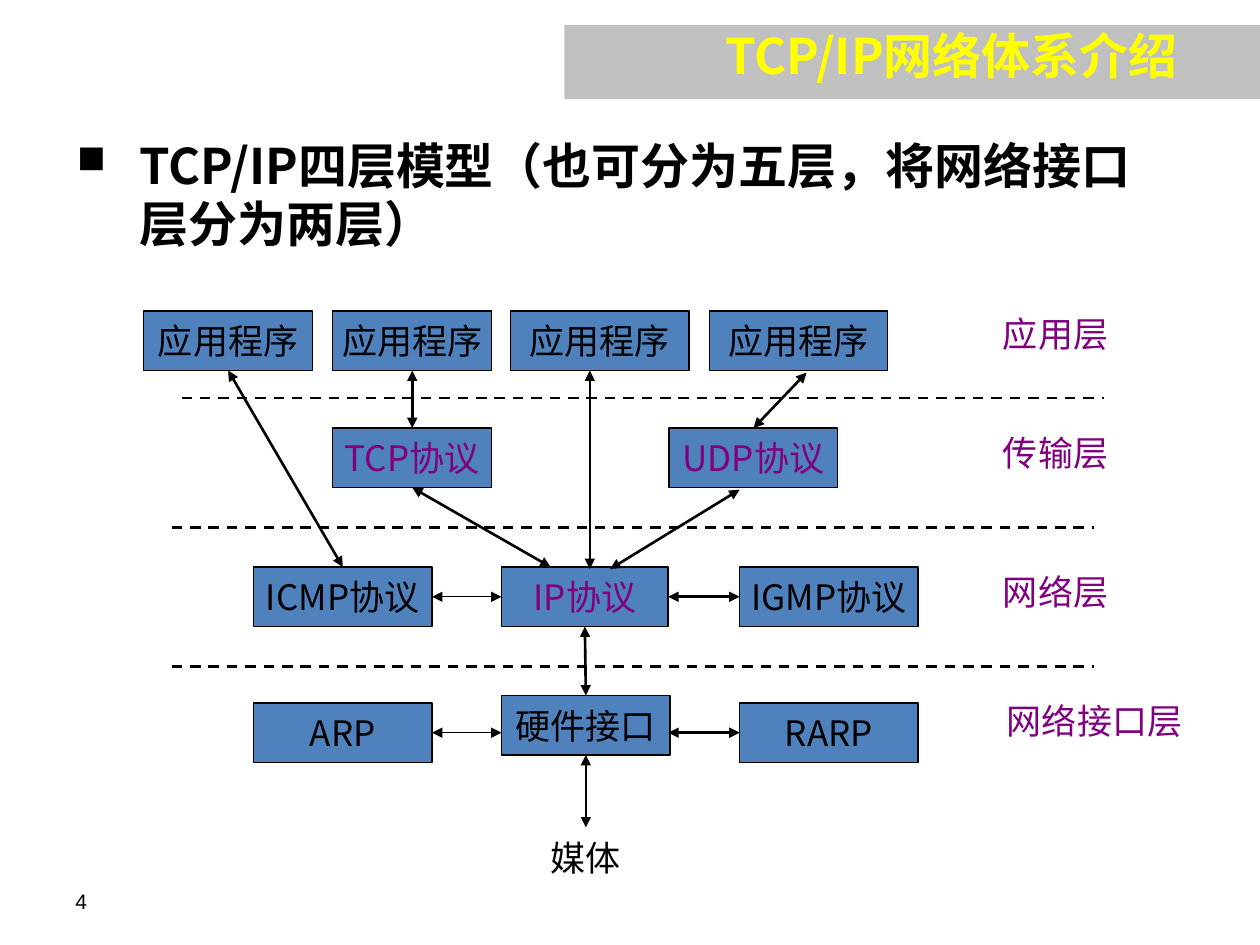
from pptx import Presentation
from pptx.dml.color import RGBColor
from pptx.enum.dml import MSO_LINE
from pptx.enum.shapes import MSO_CONNECTOR, MSO_SHAPE
from pptx.enum.text import MSO_ANCHOR, MSO_AUTO_SIZE, PP_ALIGN
from pptx.oxml.ns import qn
from pptx.util import Cm, Pt
from lxml.etree import SubElement

BLACK = RGBColor(0x00, 0x00, 0x00)
GREY = RGBColor(0xC0, 0xC0, 0xC0)
YELLOW = RGBColor(0xFF, 0xFF, 0x00)
BLUE = RGBColor(0x4F, 0x81, 0xBD)
PURPLE = RGBColor(0x80, 0x00, 0x80)
CJK_FONT = "Noto Sans CJK SC"
TOP, LEFT, BOTTOM, RIGHT = range(4)
NODE_HEIGHT = 1.2

# name: (text, left, top, width, text colour), in cm from the diagram's corner
NODES = {
    "app1": ("应用程序", 0, 0, 3.4, BLACK),
    "app2": ("应用程序", 3.81, 0, 3.2, BLACK),
    "app3": ("应用程序", 7.39, 0, 3.6, BLACK),
    "app4": ("应用程序", 11.4, 0, 3.6, BLACK),
    "tcp": ("TCP协议", 3.81, 2.36, 3.2, PURPLE),
    "udp": ("UDP协议", 10.59, 2.36, 3.4, PURPLE),
    "icmp": ("ICMP协议", 2.21, 5.16, 3.6, BLACK),
    "ip": ("IP协议", 7.21, 5.16, 3.36, PURPLE),
    "igmp": ("IGMP协议", 12.01, 5.16, 3.6, BLACK),
    "arp": ("ARP", 2.21, 7.9, 3.6, BLACK),
    "hardware": ("硬件接口", 7.21, 7.75, 3.4, BLACK),
    "rarp": ("RARP", 12.01, 7.9, 3.6, BLACK),
    "media": ("媒体", 7.21, 10.41, 3.4, BLACK),
}
# Each end is (node, side) or a free point (x, y)
ARROWS = [
    (("app1", BOTTOM), ("icmp", TOP), 1.5),
    (("app2", BOTTOM), ("tcp", TOP), 1.5),
    ((8.99, 1.2), (8.99, 5.2), 1.5),
    ((13.36, 1.24), ("udp", TOP), 1.5),
    (("tcp", BOTTOM), (8.2, 5.16), 1.5),
    ((9.4, 5.2), (12.01, 3.6), 1.5),
    (("icmp", RIGHT), ("ip", LEFT), 0.75),
    (("ip", RIGHT), ("igmp", LEFT), 1.5),
    (("ip", BOTTOM), ("hardware", TOP), 1.5),
    (("arp", RIGHT), (7.21, 8.5), 0.75),
    ((10.57, 8.5), ("rarp", LEFT), 1.5),
    (("hardware", BOTTOM), ("media", TOP), 1.5),
]
DIVIDERS = [(0.76, 1.75), (0.56, 4.37), (0.56, 7.16)]
DIVIDER_LENGTH = 18.6
LAYERS = [("应用层", 17.07, -0.1), ("传输层", 17.07, 2.31),
          ("网络层", 17.07, 5.11), ("网络接口层", 17.15, 7.7)]


def write(shape, text, size, color, bold=False, align=PP_ALIGN.LEFT,
          anchor=MSO_ANCHOR.TOP, wrap=True, font_name=CJK_FONT):
    frame = shape.text_frame
    frame.text = text
    frame.word_wrap = wrap
    frame.vertical_anchor = anchor
    paragraph = frame.paragraphs[0]
    paragraph.alignment = align
    run = paragraph.runs[0]
    run.font.size = Pt(size)
    run.font.bold = bold
    run.font.name = font_name
    run.font.color.rgb = color
    SubElement(run.font._element, qn("a:ea")).set("typeface", font_name)
    return paragraph


def add_line(slide, start, end, width):
    line = slide.shapes.add_connector(MSO_CONNECTOR.STRAIGHT, *start, *end)
    line.line.color.rgb = BLACK
    line.line.width = Pt(width)
    SubElement(line._element.spPr, qn("a:effectLst"))
    return line


def add_rectangle(slide, left, top, width, height):
    rectangle = slide.shapes.add_shape(MSO_SHAPE.RECTANGLE, left, top, width, height)
    rectangle.shadow.inherit = False
    return rectangle


def add_title(slide, left, top, width, height):
    band = add_rectangle(slide, left, top, width, height)
    band.fill.solid()
    band.fill.fore_color.rgb = GREY
    band.line.fill.background()
    title = slide.shapes.add_textbox(left + Cm(1.7), top - Cm(0.48), Cm(12.2), Cm(2.18))
    write(title, "TCP/IP网络体系介绍", 28, YELLOW, True, PP_ALIGN.CENTER, MSO_ANCHOR.MIDDLE)


def add_heading(slide, left, top, width, height):
    heading = slide.shapes.add_textbox(left, top, width, height)
    paragraph = write(heading, "TCP/IP四层模型（也可分为五层，将网络接口层分为两层）",
                      28, BLACK, True)
    properties = paragraph._p.get_or_add_pPr()
    properties.set("marL", str(Cm(1.27)))
    properties.set("indent", str(-Cm(1.27)))
    SubElement(properties, qn("a:buSzPct")).set("val", "80000")
    SubElement(properties, qn("a:buChar")).set("char", "■")


def add_diagram(slide, left, top):
    """Draw the protocol stack with its layer dividers, arrows and layer names."""
    def place(x, y):
        return left + Cm(x), top + Cm(y)

    boxes = {}
    for name, (text, x, y, width, color) in NODES.items():
        box = add_rectangle(slide, *place(x, y), Cm(width), Cm(NODE_HEIGHT))
        if name == "media":
            box.fill.background()
            box.line.fill.background()
        else:
            box.fill.solid()
            box.fill.fore_color.rgb = BLUE
            box.line.color.rgb = BLACK
            box.line.width = Pt(0.75)
        write(box, text, 20, color, align=PP_ALIGN.CENTER,
              anchor=MSO_ANCHOR.MIDDLE, wrap=False)
        boxes[name] = box

    for x, y in DIVIDERS:
        divider = add_line(slide, place(x, y), place(x + DIVIDER_LENGTH, y), 1.5)
        divider.line.dash_style = MSO_LINE.DASH

    for start, end, width in ARROWS:
        points = [place(0, 0) if point[0] in boxes else place(*point)
                  for point in (start, end)]
        arrow = add_line(slide, *points, width)
        if start[0] in boxes:
            arrow.begin_connect(boxes[start[0]], start[1])
        if end[0] in boxes:
            arrow.end_connect(boxes[end[0]], end[1])
        for tag in ("a:headEnd", "a:tailEnd"):
            SubElement(arrow.line._get_or_add_ln(), qn(tag)).set("type", "triangle")

    for text, x, y in LAYERS:
        label = slide.shapes.add_textbox(*place(x, y), Cm(0.5 + 0.71 * len(text)), Cm(1.1))
        write(label, text, 20, PURPLE, wrap=False)
        label.text_frame.auto_size = MSO_AUTO_SIZE.SHAPE_TO_FIT_TEXT


def add_page_number(slide, left, top, width, height):
    number = slide.shapes.add_textbox(left, top, width, height)
    write(number, "4", 12, BLACK, anchor=MSO_ANCHOR.MIDDLE, font_name="Arial")


def main():
    presentation = Presentation()
    presentation.slide_width, presentation.slide_height = Cm(25.4), Cm(19.05)
    slide = presentation.slides.add_slide(presentation.slide_layouts[6])
    add_title(slide, Cm(11.38), Cm(0.5), Cm(14.02), Cm(1.5))
    add_heading(slide, Cm(1.3), Cm(2.6), Cm(22.22), Cm(3))
    add_diagram(slide, Cm(2.9), Cm(6.27))
    add_page_number(slide, Cm(1.27), Cm(17.65), Cm(5.92), Cm(1.02))
    presentation.save("out.pptx")


if __name__ == "__main__":
    main()
